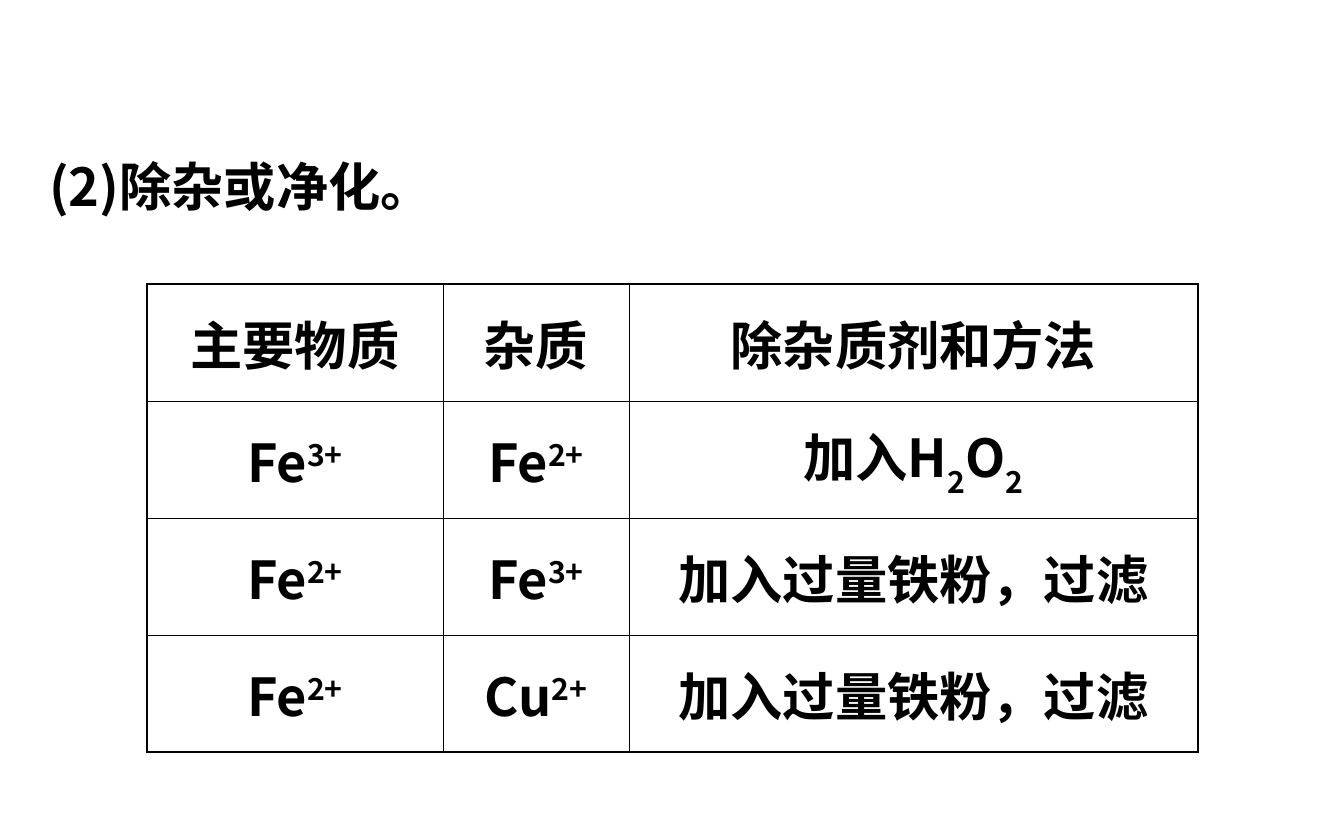
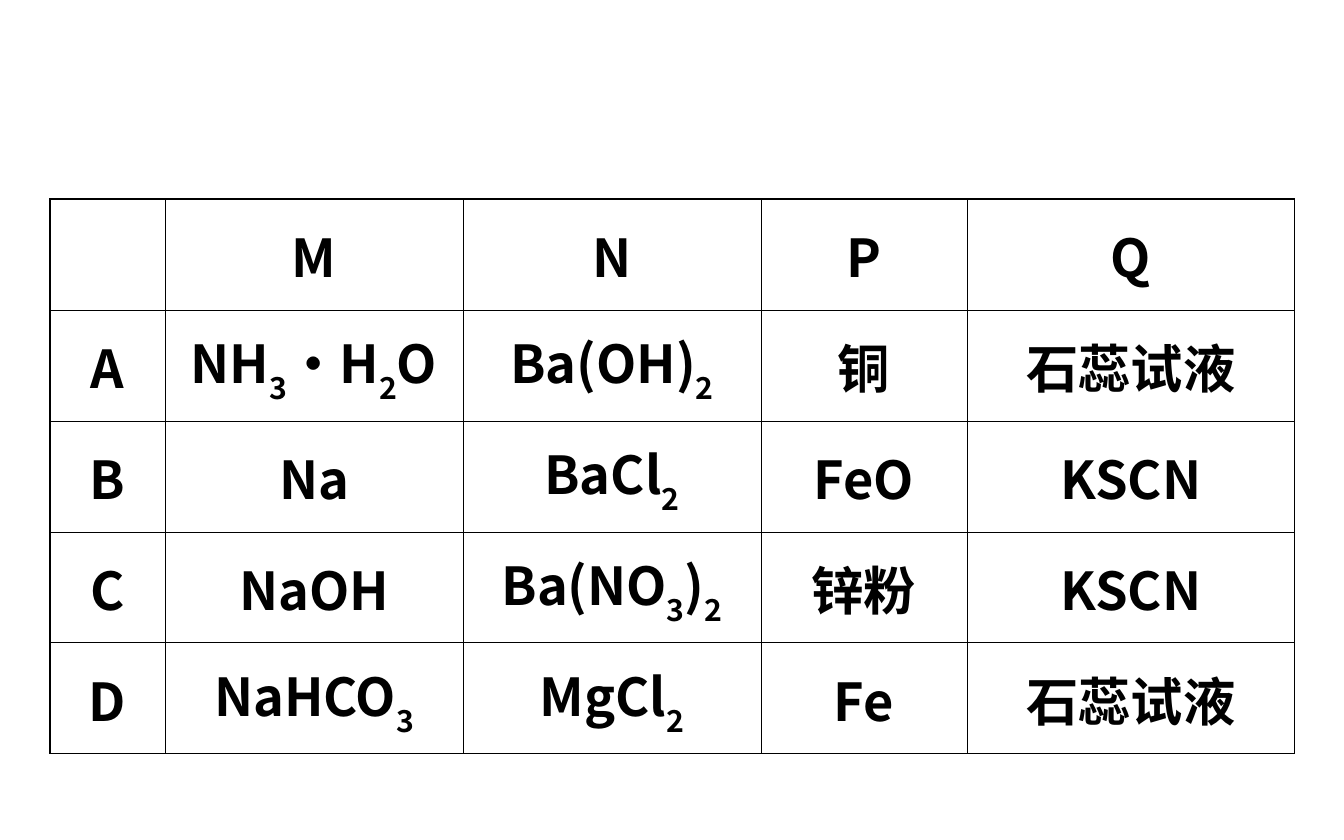
from lxml import etree
from pptx import Presentation
from pptx import util as u
from pptx.dml.color import RGBColor
from pptx.enum import text
from pptx.oxml import ns

# Content: within a text, a part after a space is raised (^), lowered (_) or level
HEADING = {"box": (36, 116, 1267, 108), "text": "(2)除杂或净化。"}
PURIFICATION = {
    "corner": (147, 284),
    "columns": (296, 186, 569),
    "row_height": 117,
    "rows": [
        ("主要物质", "杂质", "除杂质剂和方法"),
        ("Fe ^3+", "Fe ^2+", "加入H _2 O _2"),
        ("Fe ^2+", "Fe ^3+", "加入过量铁粉，过滤"),
        ("Fe ^2+", "Cu ^2+", "加入过量铁粉，过滤"),
    ],
}
REAGENTS = {
    "corner": (50, 199),
    "columns": (115, 298, 298, 206, 328),
    "row_height": 111,
    "rows": [
        ("", "M", "N", "P", "Q"),
        ("A", "NH _3 ·H _2 O", "Ba(OH) _2", "铜", "石蕊试液"),
        ("B", "Na", "BaCl _2", "FeO", "KSCN"),
        ("C", "NaOH", "Ba(NO _3 ) _2", "锌粉", "KSCN"),
        ("D", "NaHCO _3", "MgCl _2", "Fe", "石蕊试液"),
    ],
}

# Shared style
SLIDE_SIZE = (1344, 840)
PX = 914400 / 134.4
FONT = "Noto Sans CJK SC"
INK = "000000"
FONT_FORMAT = {"name": FONT, "size": u.Pt(28), "bold": True}
BASELINES = {"^": "30000", "_": "-30000"}
OUTER_LINE, INNER_LINE = 0.75, 0.45


def px(length):
    return u.Emu(round(length * PX))


def color(value):
    return RGBColor.from_string(value)


def write(paragraph, content):
    for part in content.split():
        run = paragraph.add_run()
        run.text = part.lstrip("^_")
        for name, value in FONT_FORMAT.items():
            setattr(run.font, name, value)
        run.font.color.rgb = color(INK)
        properties = run.font._element
        etree.SubElement(properties, ns.qn("a:ea"), typeface=FONT)
        if part[0] in BASELINES:
            properties.set("baseline", BASELINES[part[0]])


def add_heading(slide, heading):
    frame = slide.shapes.add_textbox(*map(px, heading["box"])).text_frame
    frame.word_wrap = True
    frame.auto_size = text.MSO_AUTO_SIZE.SHAPE_TO_FIT_TEXT
    frame.paragraphs[0].line_spacing = 1.5
    write(frame.paragraphs[0], heading["text"])


def add_border(cell, side, width):
    line = etree.SubElement(cell._tc.get_or_add_tcPr(), ns.qn(f"a:ln{side}"),
                            w=str(u.Pt(width)))
    fill = etree.SubElement(line, ns.qn("a:solidFill"))
    etree.SubElement(fill, ns.qn("a:srgbClr"), val=INK)


def add_grid(slide, grid):
    rows, columns = grid["rows"], grid["columns"]
    size = (sum(columns), grid["row_height"] * len(rows))
    table = slide.shapes.add_table(
        len(rows), len(columns), *map(px, grid["corner"] + size)).table
    table.first_row = table.horz_banding = False
    for column, width in zip(table.columns, columns):
        column.width = px(width)
    for row_index, row in enumerate(rows):
        table.rows[row_index].height = px(grid["row_height"])
        for column_index, content in enumerate(row):
            cell = table.cell(row_index, column_index)
            # Heavier lines run round the outside of the table
            on_edge = {"L": column_index == 0,
                       "R": column_index == len(columns) - 1,
                       "T": row_index == 0,
                       "B": row_index == len(rows) - 1}
            for side, outer in on_edge.items():
                add_border(cell, side, OUTER_LINE if outer else INNER_LINE)
            cell.fill.background()
            cell.vertical_anchor = text.MSO_ANCHOR.MIDDLE
            paragraph = cell.text_frame.paragraphs[0]
            paragraph.alignment = text.PP_ALIGN.CENTER
            write(paragraph, content)


def main():
    presentation = Presentation()
    presentation.slide_width, presentation.slide_height = map(px, SLIDE_SIZE)
    blank = presentation.slide_layouts[6]

    purification_slide = presentation.slides.add_slide(blank)
    add_heading(purification_slide, HEADING)
    add_grid(purification_slide, PURIFICATION)

    reagent_slide = presentation.slides.add_slide(blank)
    add_grid(reagent_slide, REAGENTS)

    presentation.save("out.pptx")


if __name__ == "__main__":
    main()
